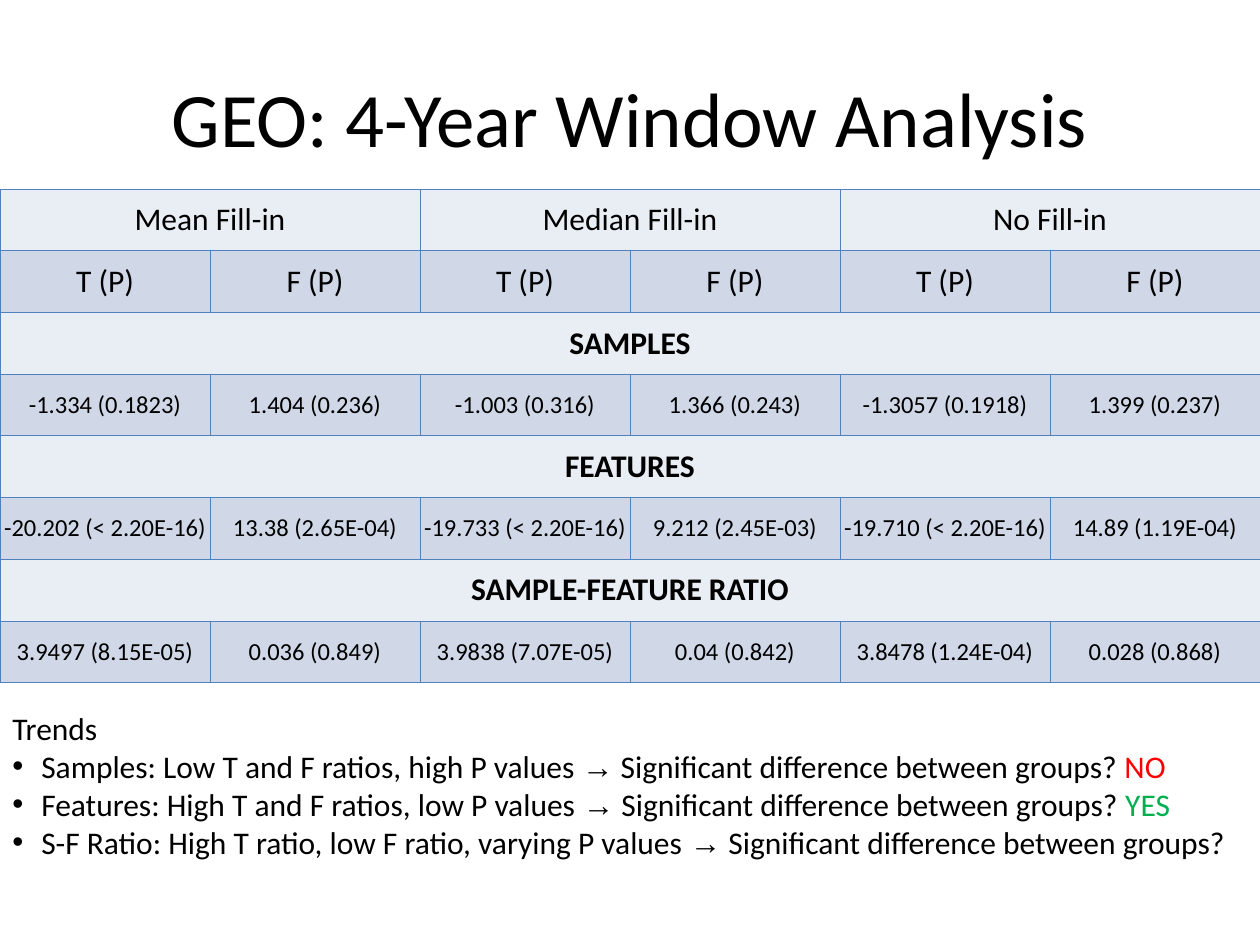
import lxml.etree
import pptx
import pptx.dml.color
import pptx.enum.text
import pptx.oxml.ns
import pptx.util

Inches = pptx.util.Inches
Pt = pptx.util.Pt
qn = pptx.oxml.ns.qn
CENTER = pptx.enum.text.PP_ALIGN.CENTER
MIDDLE = pptx.enum.text.MSO_ANCHOR.MIDDLE

COLORS = {"text": "000000", "border": "4F81BD", "light": "E9EDF4",
          "dark": "D0D8E8", "no": "FF0000", "yes": "00B050"}


class SlideBuilder:
    font = "Calibri"
    symbol_font = "Arial"

    def __init__(self, deck):
        self.page = deck.slides.add_slide(deck.slide_layouts[5])

    def color(self, name):
        return pptx.dml.color.RGBColor.from_string(COLORS[name])

    def style(self, span, size, color="text", bold=False, font=None):
        span.font.name = font or self.font
        span.font.size = Pt(size)
        span.font.bold = bold
        span.font.color.rgb = self.color(color)

    def title(self, text, left, top, width, height):
        box = self.page.shapes.title
        box.left, box.top = Inches(left), Inches(top)
        box.width, box.height = Inches(width), Inches(height)
        box.text_frame.text = text
        box.text_frame.vertical_anchor = MIDDLE
        para = box.text_frame.paragraphs[0]
        para.alignment = CENTER
        self.style(para.runs[0], 44)

    def cell(self, cell, text, fill, size, bold, margin):
        properties = cell._tc.get_or_add_tcPr()
        for side in ("a:lnL", "a:lnR", "a:lnT", "a:lnB"):
            line = lxml.etree.SubElement(properties, qn(side), w=str(Pt(0.45)))
            solid = lxml.etree.SubElement(line, qn("a:solidFill"))
            lxml.etree.SubElement(solid, qn("a:srgbClr"), val=COLORS["border"])
        cell.fill.solid()
        cell.fill.fore_color.rgb = self.color(fill)
        cell.vertical_anchor = MIDDLE
        cell.margin_left = cell.margin_right = Inches(margin)
        if text:
            cell.text_frame.text = text
            para = cell.text_frame.paragraphs[0]
            para.alignment = CENTER
            self.style(para.runs[0], size, bold=bold)

    def table(self, rows, left, top, width, height):
        columns = max(len(texts) for texts in rows)
        table = self.page.shapes.add_table(
            len(rows), columns, Inches(left), Inches(top),
            Inches(width), Inches(height)).table
        table.first_row = table.horz_banding = False
        for row, texts in enumerate(rows):
            # Each row shares the columns equally among its texts
            reach = columns // len(texts)
            fill = "dark" if row % 2 else "light"
            values = row > 1 and reach == 1
            for column in range(columns):
                index, offset = divmod(column, reach)
                cell = table.cell(row, column)
                self.cell(cell, "" if offset else texts[index], fill,
                          size=14 if values else 18, bold=reach == columns,
                          margin=0.01 if values else 0.1)
                if reach > 1 and offset == 0:
                    cell.merge(table.cell(row, column + reach - 1))

    def bullet(self, para):
        properties = para._p.get_or_add_pPr()
        properties.set("marL", str(Inches(0.23)))
        properties.set("indent", str(-Inches(0.23)))
        lxml.etree.SubElement(properties, qn("a:buFont"), typeface=self.symbol_font)
        lxml.etree.SubElement(properties, qn("a:buChar"), char="•")

    def notes(self, heading, items, left, top, width, height):
        box = self.page.shapes.add_textbox(
            Inches(left), Inches(top), Inches(width), Inches(height))
        frame = box.text_frame
        frame.word_wrap = True
        frame.text = heading
        self.style(frame.paragraphs[0].runs[0], 18)
        for finding, question, answer, color in items:
            para = frame.add_paragraph()
            self.bullet(para)
            pieces = [(finding + " ", "text", self.font),
                      ("→", "text", self.symbol_font),
                      (" " + question, "text", self.font)]
            if answer:
                pieces.append((" " + answer, color, self.font))
            for text, shade, font in pieces:
                span = para.add_run()
                span.text = text
                self.style(span, 18, shade, font=font)


deck = pptx.Presentation()
deck.slide_width, deck.slide_height = Inches(10), Inches(7.5)
slide = SlideBuilder(deck)

# Title
slide.title("GEO: 4-Year Window Analysis", 0.5, 0.3, 9, 1.25)

# Test results by fill-in method
results = [
    ["Mean Fill-in", "Median Fill-in", "No Fill-in"],
    ["T (P)", "F (P)"] * 3,
    ["SAMPLES"],
    ["-1.334 (0.1823)", "1.404 (0.236)", "-1.003 (0.316)",
     "1.366 (0.243)", "-1.3057 (0.1918)", "1.399 (0.237)"],
    ["FEATURES"],
    ["-20.202 (< 2.20E-16)", "13.38 (2.65E-04)", "-19.733 (< 2.20E-16)",
     "9.212 (2.45E-03)", "-19.710 (< 2.20E-16)", "14.89 (1.19E-04)"],
    ["SAMPLE-FEATURE RATIO"],
    ["3.9497 (8.15E-05)", "0.036 (0.849)", "3.9838 (7.07E-05)",
     "0.04 (0.842)", "3.8478 (1.24E-04)", "0.028 (0.868)"],
]
slide.table(results, 0, 1.5, 10, 3.92)

# Trends
question = "Significant difference between groups?"
slide.notes("Trends", [
    ("Samples: Low T and F ratios, high P values", question, "NO", "no"),
    ("Features: High T and F ratios, low P values", question, "YES", "yes"),
    ("S-F Ratio: High T ratio, low F ratio, varying P values", question, "", "text"),
], 0, 5.58, 10, 1.3)

deck.save("out.pptx")
